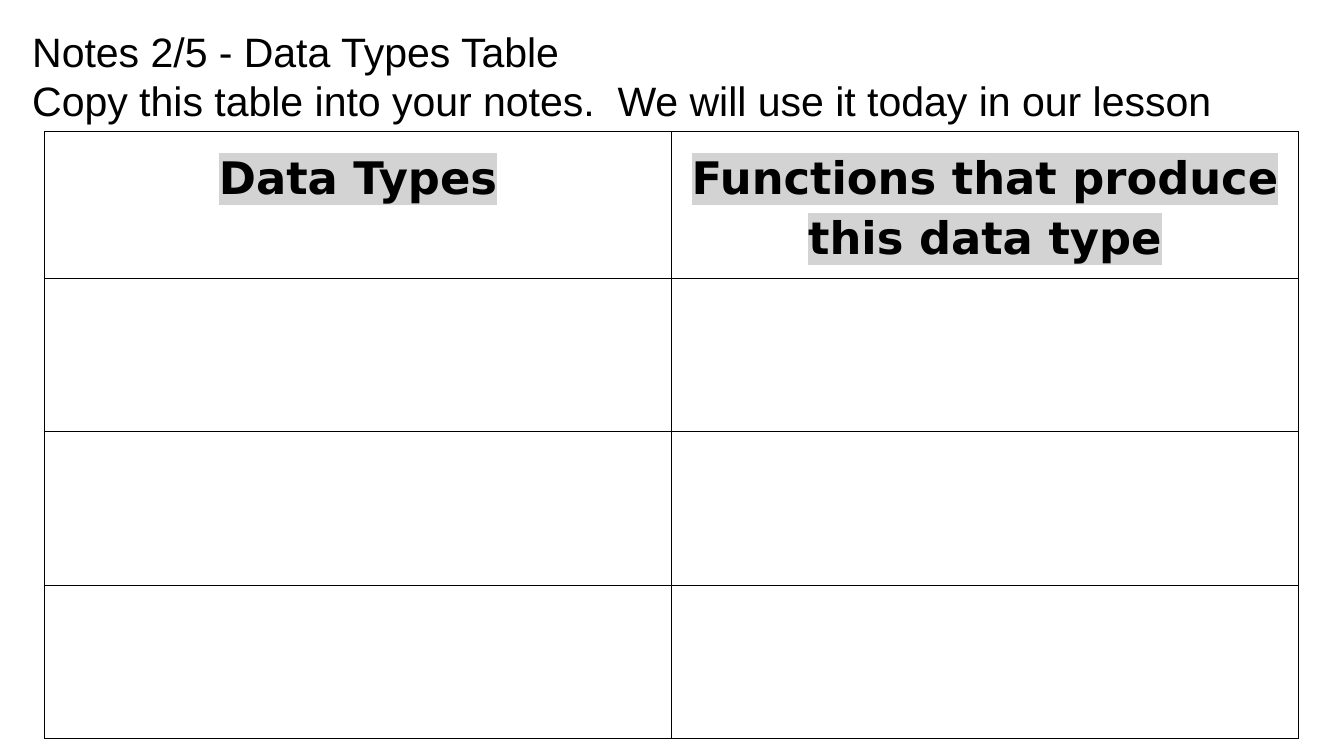
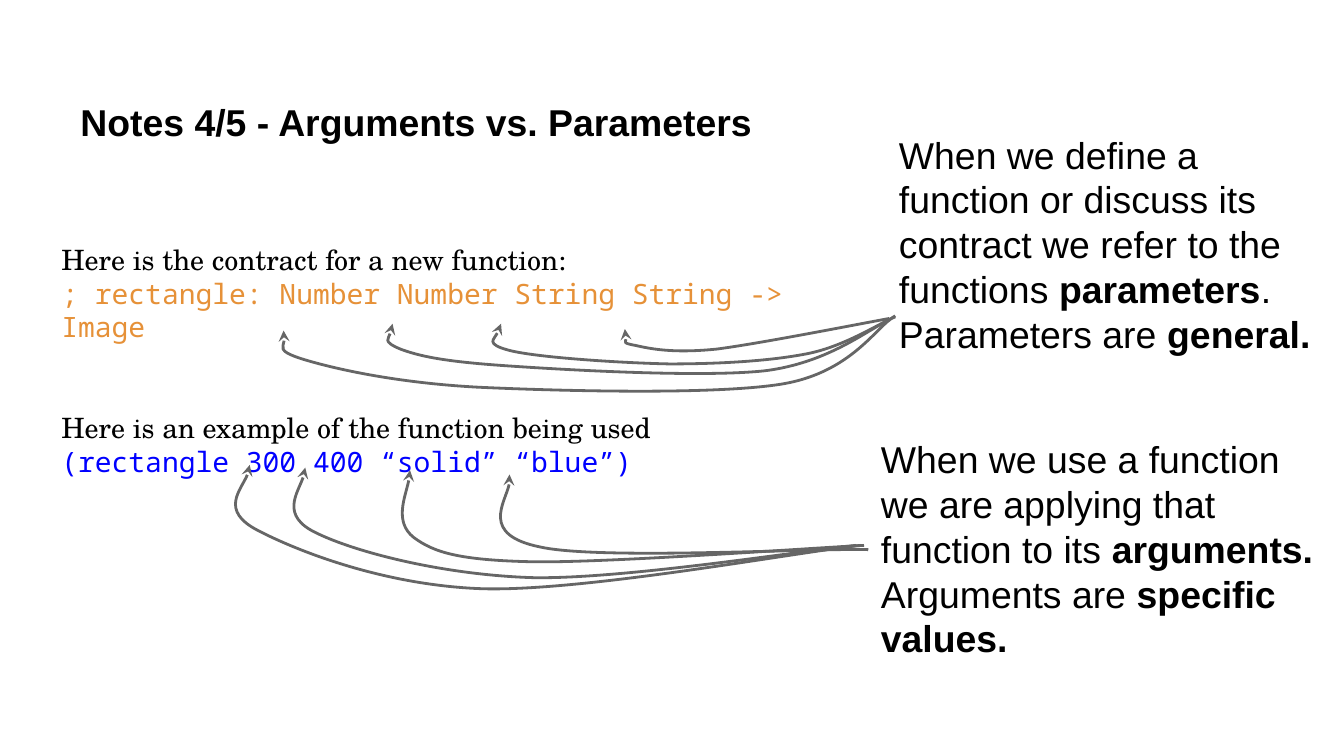
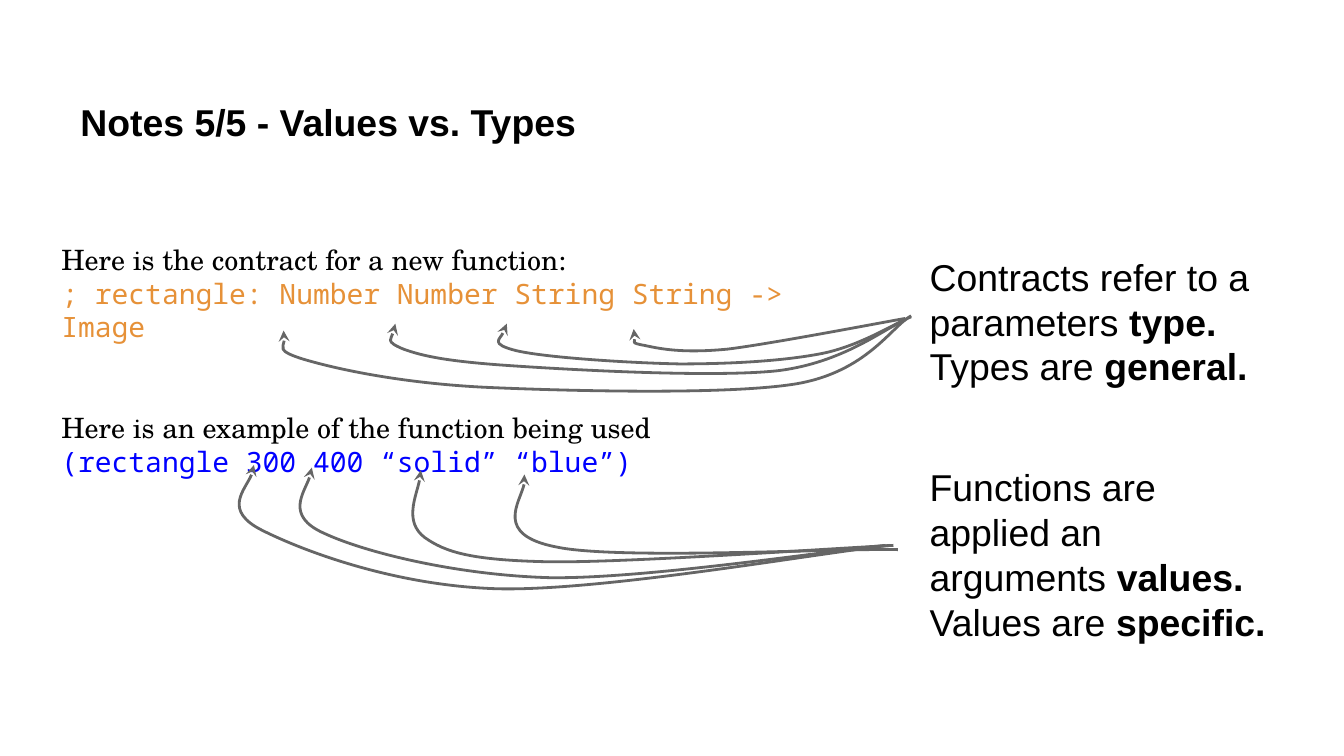
"""Build three lesson-note slides on data types, parameters and values."""
from dataclasses import dataclass
from typing import Any, NamedTuple

from lxml import etree
from pptx import Presentation
from pptx.dml.color import RGBColor
from pptx.enum.text import MSO_ANCHOR, PP_ALIGN
from pptx.oxml.ns import qn
from pptx.util import Cm, Pt

TOP, MIDDLE, BOTTOM = MSO_ANCHOR.TOP, MSO_ANCHOR.MIDDLE, MSO_ANCHOR.BOTTOM
CENTER = PP_ALIGN.CENTER


@dataclass(frozen=True)
class Theme:
    """Colours, fonts and type sizes shared by all slides."""
    black: str = "000000"
    white: str = "FFFFFF"
    highlight: str = "D3D3D3"
    contract: str = "E69138"
    call: str = "0000FF"
    arrow: str = "666666"
    sans: str = "Arial"
    serif: str = "TeX Gyre Schola"
    mono: str = "Noto Sans Mono"
    header: str = "DejaVu Sans"
    intro_size: int = 22
    note_size: int = 20
    code_size: int = 15
    header_size: int = 24
    arrow_width: float = 1.5
    border_width: float = 0.75
    code_gap: int = 36


T = Theme()


class Style(NamedTuple):
    """Look of a run of text."""
    size: int
    name: str
    color: str = T.black
    bold: bool = False


class Box(NamedTuple):
    """Left, top, width and height in centimetres."""
    left: float
    top: float
    width: float
    height: float


class Run(NamedTuple):
    """A piece of text with its style."""
    text: str
    style: Style


class Para(NamedTuple):
    """Runs of one paragraph and the formats that differ from the default."""
    runs: list[Run]
    formats: dict[str, Any] = {}


class Span(NamedTuple):
    """A horizontal extent in centimetres."""
    start: float
    end: float


Point = tuple[float, float]


class Curve(NamedTuple):
    """A start point and cubic segments of two controls and an end."""
    start: Point
    segments: list[tuple[Point, Point, Point]]


@dataclass(frozen=True)
class Fan:
    """Curved arrows that spread from one note to several words."""
    curves: list[Curve]
    span: Span


@dataclass(frozen=True)
class Note:
    """A side note, with every second piece bold, and the span of its arrows."""
    box: Box
    pieces: list[str]
    span: Span


@dataclass(frozen=True)
class Lesson:
    """Contents of a slide that compares two ideas."""
    title: str
    code_width: float
    notes: list[Note]


INTRO = Style(T.intro_size, T.sans)
TITLE = Style(T.note_size, T.sans, bold=True)
NOTE = Style(T.note_size, T.sans)
PROSE = Style(T.code_size, T.serif)
CONTRACT = Style(T.code_size, T.mono, T.contract)
CALL = Style(T.code_size, T.mono, T.call)
HEADER = Style(T.header_size, T.header, bold=True)

PARAMETER_FAN = Fan([
    Curve((16.92, 5.97), [
        ((16.56, 6.17), (16.1, 7.04), (14.78, 7.26)),
        ((13.49, 7.47), (10.54, 7.39), (9.04, 7.32)),
        ((7.54, 7.24), (6.4, 6.99), (5.79, 6.81)),
        ((5.18, 6.63), (5.44, 6.35), (5.36, 6.25))]),
    Curve((16.81, 6.05), [
        ((16.41, 6.22), (15.67, 6.86), (14.45, 7.01)),
        ((13.23, 7.14), (10.64, 6.99), (9.5, 6.91)),
        ((8.36, 6.83), (7.92, 6.73), (7.57, 6.6)),
        ((7.21, 6.45), (7.44, 6.2), (7.42, 6.12))]),
    Curve((16.92, 5.99), [
        ((16.64, 6.1), (16, 6.53), (15.29, 6.68)),
        ((14.55, 6.83), (13.56, 6.88), (12.65, 6.88)),
        ((11.71, 6.86), (10.19, 6.76), (9.65, 6.63)),
        ((9.14, 6.5), (9.5, 6.2), (9.47, 6.12))]),
    Curve((16.81, 6.02), [
        ((16.26, 6.12), (14.33, 6.5), (13.54, 6.6)),
        ((12.73, 6.68), (12.32, 6.6), (12.01, 6.53)),
        ((11.73, 6.48), (11.84, 6.27), (11.81, 6.22))]),
], Span(5.36, 16.92))

ARGUMENT_FAN = Fan([
    Curve((16.26, 10.31), [
        ((15.06, 10.44), (11.05, 11.18), (9.14, 11.13)),
        ((7.26, 11.07), (5.61, 10.41), (4.88, 10.03)),
        ((4.14, 9.65), (4.75, 9.02), (4.72, 8.79))]),
    Curve((16.18, 10.31), [
        ((15.16, 10.41), (11.79, 10.95), (10.08, 10.92)),
        ((8.38, 10.87), (6.73, 10.44), (5.99, 10.08)),
        ((5.28, 9.75), (5.79, 9.04), (5.77, 8.84))]),
    Curve((16.33, 10.31), [
        ((15.29, 10.36), (11.51, 10.64), (10.08, 10.62)),
        ((8.66, 10.59), (8.2, 10.44), (7.82, 10.16)),
        ((7.44, 9.86), (7.77, 9.09), (7.75, 8.89))]),
    Curve((16.41, 10.39), [
        ((15.37, 10.36), (11.33, 10.59), (10.21, 10.34)),
        ((9.07, 10.11), (9.73, 9.19), (9.63, 8.97))]),
], Span(4.72, 16.41))

FANS = [PARAMETER_FAN, ARGUMENT_FAN]

CODE = [
    Para([Run("Here is the contract for a new function:", PROSE)]),
    Para([Run("; rectangle: Number Number String String -> Image", CONTRACT)]),
    Para([Run("Here is an example of the function being used", PROSE)],
         {"space_before": Pt(T.code_gap)}),
    Para([Run("(rectangle 300 400 “solid” “blue”)", CALL)]),
]

LESSONS = [
    Lesson("Notes 4/5 - Arguments vs. Parameters", 14.86, [
        Note(Box(16.74, 2.24, 8.66, 5.46),
             ["When we define a function or discuss its contract we refer to "
              "the functions ", "parameters", ".  Parameters are ", "general."],
             PARAMETER_FAN.span),
        Note(Box(16.4, 8, 8.97, 5.46),
             ["When we use a function we are applying that function to its ",
              "arguments.  ", "Arguments are ", "specific values."],
             ARGUMENT_FAN.span)]),
    Lesson("Notes 5/5 - Values vs. Types", 15.06, [
        Note(Box(17.32, 4.55, 7.06, 2.39),
             ["Contracts refer to a parameters ", "type. ", "Types are ",
              "general."],
             Span(5.36, 17.22)),
        Note(Box(17.32, 8.53, 7.06, 2.39),
             ["Functions are applied an arguments ", "values.  ",
              "Values are ", "specific."],
             Span(4.8, 16.97))]),
]


def set_all(target: Any, formats: dict[str, Any]) -> None:
    """Set each format value on the target."""
    for key, value in formats.items():
        setattr(target, key, value)


def write(tf: Any, paras: list[Para]) -> None:
    """Fill a text frame with styled paragraphs."""
    for i, para in enumerate(paras):
        p = tf.add_paragraph() if i else tf.paragraphs[0]
        set_all(p, para.formats)
        for text, style in para.runs:
            r = p.add_run()
            r.text = text
            set_all(r.font, {"size": Pt(style.size), "name": style.name,
                             "bold": style.bold})
            r.font.color.rgb = RGBColor.from_string(style.color)


def add_text(s: Any, box: Box, paras: list[Para], anchor: Any = TOP) -> None:
    """Add a wrapping text box."""
    tf = s.shapes.add_textbox(*map(Cm, box)).text_frame
    margins = dict.fromkeys(
        ("margin_left", "margin_right", "margin_top", "margin_bottom"), Cm(0.25))
    set_all(tf, {"word_wrap": True, "vertical_anchor": anchor, **margins})
    write(tf, paras)


def add_solid(parent: Any, color: str) -> None:
    """Append a solid fill element."""
    fill = etree.SubElement(parent, qn("a:solidFill"))
    etree.SubElement(fill, qn("a:srgbClr"), val=color)


def add_arrow(s: Any, curve: Curve, old: Span, new: Span) -> None:
    """Draw a curved arrow, stretched sideways from one span to another."""
    scale = (new.end - new.start) / (old.end - old.start)

    def place(point: Point) -> tuple[int, int]:
        """Return the stretched point in slide units."""
        x, y = point
        return Cm(new.start + (x - old.start) * scale), Cm(y)

    builder = s.shapes.build_freeform(*place(curve.start))
    builder.add_line_segments([place(seg[-1]) for seg in curve.segments],
                              close=False)
    sp = builder.convert_to_shape()
    sp.shadow.inherit = False
    sp.fill.background()
    sp.line.color.rgb = RGBColor.from_string(T.arrow)
    sp.line.width = Pt(T.arrow_width)
    etree.SubElement(sp.line._get_or_add_ln(), qn("a:tailEnd"), type="stealth")
    lines = list(sp._element.iter(qn("a:lnTo")))
    for line, segment in zip(lines, curve.segments):
        bezier = etree.Element(qn("a:cubicBezTo"))
        for x, y in map(place, segment):
            etree.SubElement(bezier, qn("a:pt"),
                             x=str(x - sp.left), y=str(y - sp.top))
        line.getparent().replace(line, bezier)


def style_cell(cell: Any) -> None:
    """Give a cell a white fill, even margins and thin black borders."""
    set_all(cell, dict.fromkeys(
        ("margin_left", "margin_right", "margin_top", "margin_bottom"), Cm(0.25)))
    cell.fill.solid()
    cell.fill.fore_color.rgb = RGBColor.from_string(T.white)
    tc_pr = cell._tc.get_or_add_tcPr()
    for i, side in enumerate("LRTB"):
        ln = etree.Element(qn(f"a:ln{side}"), w=str(Pt(T.border_width)))
        add_solid(ln, T.black)
        tc_pr.insert(i, ln)


def highlight(cell: Any) -> None:
    """Mark the text of a cell with the highlight colour."""
    for latin in cell._tc.iter(qn("a:latin")):
        mark = etree.Element(qn("a:highlight"))
        etree.SubElement(mark, qn("a:srgbClr"), val=T.highlight)
        latin.addprevious(mark)


def add_types_table(s: Any, headings: list[str], blank_rows: int) -> None:
    """Add a table of headings above empty rows."""
    heights = [2.77] + [2.9] * blank_rows
    box = Box(0.84, 2.49, 11.85 * len(headings), sum(heights))
    table = s.shapes.add_table(len(heights), len(headings),
                               *map(Cm, box)).table
    set_all(table, {"first_row": False, "horz_banding": False})
    for row, height in zip(table.rows, heights):
        row.height = Cm(height)
    for cell in table.iter_cells():
        style_cell(cell)
    for col, heading in enumerate(headings):
        cell = table.cell(0, col)
        write(cell.text_frame, [Para([Run(heading, HEADER)],
                                     {"alignment": CENTER, "line_spacing": 1.15})])
        highlight(cell)


def add_slide(prs: Any) -> Any:
    """Add a blank slide with a white background."""
    s = prs.slides.add_slide(prs.slide_layouts[6])
    s.background.fill.solid()
    s.background.fill.fore_color.rgb = RGBColor.from_string(T.white)
    return s


def build_table_slide(prs: Any) -> None:
    """Build the slide with the table to copy."""
    s = add_slide(prs)
    add_types_table(s, ["Data Types", "Functions that produce this data type"], 3)
    add_text(s, Box(0.36, 0.25, 24.51, 1.9), [
        Para([Run("Notes 2/5 - Data Types Table", INTRO)]),
        Para([Run("Copy this table into your notes.  We will use it today "
                  "in our lesson", INTRO)])])


def build_lesson(prs: Any, lesson: Lesson) -> None:
    """Build a slide with code, side notes and arrows."""
    s = add_slide(prs)
    add_text(s, Box(1.27, 0.58, 22.86, 2.39),
             [Para([Run(lesson.title, TITLE)])], BOTTOM)
    add_text(s, Box(0.91, 4.42, lesson.code_width, 4.78), CODE, MIDDLE)
    for note, fan in zip(lesson.notes, FANS):
        runs = [Run(piece, NOTE._replace(bold=i % 2 == 1))
                for i, piece in enumerate(note.pieces)]
        add_text(s, note.box, [Para(runs)])
        for curve in fan.curves:
            add_arrow(s, curve, fan.span, note.span)


def main() -> None:
    """Build and save the presentation."""
    prs = Presentation()
    set_all(prs, {"slide_width": Cm(25.4), "slide_height": Cm(14.29)})
    build_table_slide(prs)
    for lesson in LESSONS:
        build_lesson(prs, lesson)
    prs.save("out.pptx")


if __name__ == "__main__":
    main()
